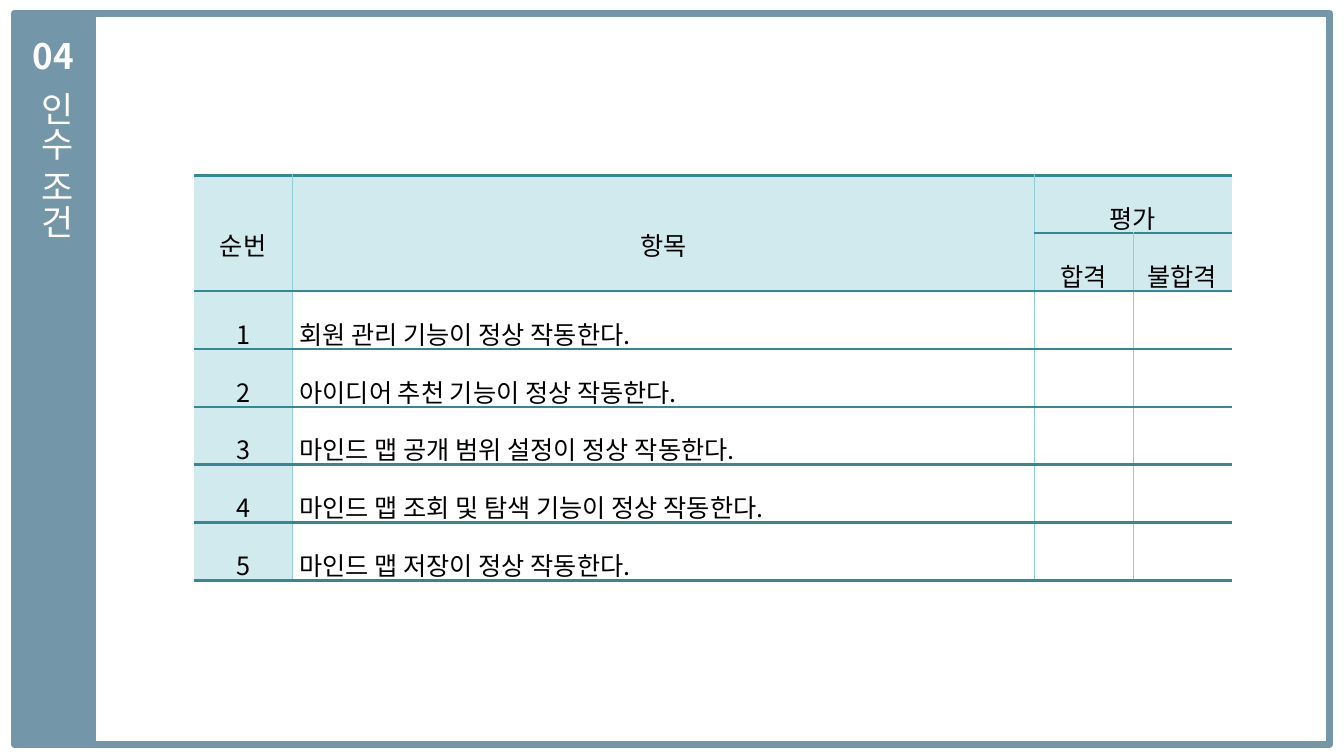
import pptx
import pptx.dml.color
import pptx.enum.shapes
import pptx.enum.text
import pptx.oxml
import pptx.oxml.ns
import pptx.util
from lxml import etree

Cm, Pt = pptx.util.Cm, pptx.util.Pt
RGBColor = pptx.dml.color.RGBColor
ALIGN = pptx.enum.text.PP_ALIGN

SLATE = RGBColor(0x73, 0x96, 0xA9)
TEAL = RGBColor(0x35, 0x87, 0x91)
AQUA = RGBColor(0x8F, 0xCE, 0xD5)
PALE = RGBColor(0xD0, 0xEA, 0xED)
WHITE = RGBColor(0xFF, 0xFF, 0xFF)
BLACK = RGBColor(0, 0, 0)
FONT = "Noto Sans CJK KR"

CRITERIA = [
    "회원 관리 기능이 정상 작동한다.",
    "아이디어 추천 기능이 정상 작동한다.",
    "마인드 맵 공개 범위 설정이 정상 작동한다.",
    "마인드 맵 조회 및 탐색 기능이 정상 작동한다.",
    "마인드 맵 저장이 정상 작동한다.",
]


def style_para(para, size, color, bold=False):
    font = para.font
    font.name, font.size, font.bold = FONT, Pt(size), bold
    font.color.rgb = color
    east_asian = etree.SubElement(font._element, pptx.oxml.ns.qn("a:ea"))
    east_asian.set("typeface", FONT)


def add_panel(page, left, top, width, height):
    panel = page.shapes.add_shape(
        pptx.enum.shapes.MSO_SHAPE.RECTANGLE, Cm(left), Cm(top), Cm(width), Cm(height))
    panel.shadow.inherit = False
    return panel


def add_label(page, text, left, top, width, height, bold=False, vertical=False):
    box = page.shapes.add_textbox(Cm(left), Cm(top), Cm(width), Cm(height))
    frame = box.text_frame
    frame.word_wrap = False
    frame.auto_size = pptx.enum.text.MSO_AUTO_SIZE.SHAPE_TO_FIT_TEXT
    if vertical:
        frame._txBody.bodyPr.set("vert", "eaVert")
    para = frame.paragraphs[0]
    para.text = text
    style_para(para, 25, WHITE, bold)


def add_frame(page, left, top, width, height):
    """Outlined page frame with the section title in a side bar."""
    outline = add_panel(page, left, top, width, height)
    outline.fill.background()
    outline.line.color.rgb = SLATE
    outline.line.width = Pt(5)
    bar = add_panel(page, left, top, 2.06, height)
    bar.fill.solid()
    bar.fill.fore_color.rgb = SLATE
    bar.line.fill.background()
    add_label(page, "04", left + 0.22, top + 0.41, 1.63, 1.32, bold=True)
    add_label(page, "인수 조건", left + 0.15, top + 1.73, 1.57, 4.42, vertical=True)


def set_border(cell, side, color, width):
    """Draw one cell edge, or clear it when the colour is None."""
    paint = "<a:noFill/>"
    if color is not None:
        paint = f'<a:solidFill><a:srgbClr val="{color}"/></a:solidFill>'
    edge = pptx.oxml.parse_xml(
        f'<a:ln{side} {pptx.oxml.ns.nsdecls("a")} w="{Pt(width)}">{paint}</a:ln{side}>')
    cell._tc.get_or_add_tcPr().append(edge)


def rule_cell(cell, row, column, row_count, column_count):
    """Thin column rules inside, bold row rules, heavier at the table's ends."""
    last_row, last_column = row, column
    if cell.is_merge_origin:
        last_row += cell.span_height - 1
        last_column += cell.span_width - 1
    set_border(cell, "L", AQUA if column > 0 else None, 0.28)
    set_border(cell, "R", AQUA if last_column < column_count - 1 else None, 0.28)
    set_border(cell, "T", TEAL, 2.55 if row == 0 else 1.98)
    set_border(cell, "B", TEAL, 2.55 if last_row == row_count - 1 else 1.98)


def fill_cell(cell, text, shaded, align):
    cell.margin_left = cell.margin_right = Cm(0.18)
    cell.margin_top = cell.margin_bottom = Cm(0.05)
    cell.vertical_anchor = pptx.enum.text.MSO_ANCHOR.MIDDLE
    if shaded:
        cell.fill.solid()
        cell.fill.fore_color.rgb = PALE
    else:
        cell.fill.background()
    if text:
        para = cell.text_frame.paragraphs[0]
        para.text = text
        para.alignment = align
        para.line_spacing = 1.6
        style_para(para, 18, BLACK)


def add_checklist(page, left, top, width, height):
    rows = [["순번", "항목", "평가", ""], ["", "", "합격", "불합격"]]
    rows += [[str(number), text, "", ""] for number, text in enumerate(CRITERIA, 1)]
    row_count, column_count = len(rows), len(rows[0])
    table = page.shapes.add_table(
        row_count, column_count, Cm(left), Cm(top), Cm(width), Cm(height)).table
    table.first_row = table.horz_banding = False
    narrow = 2.49
    for column, size in zip(table.columns, [narrow, width - 3 * narrow, narrow, narrow]):
        column.width = Cm(size)
    for row in table.rows:
        row.height = Cm(height / row_count)
    for column in (0, 1):
        table.cell(0, column).merge(table.cell(1, column))
    table.cell(0, 2).merge(table.cell(0, 3))
    for r, texts in enumerate(rows):
        for c, text in enumerate(texts):
            cell = table.cell(r, c)
            if cell.is_spanned:
                continue
            rule_cell(cell, r, c, row_count, column_count)
            is_criterion = r > 1 and c == 1
            fill_cell(cell, text, r < 2 or c == 0,
                      ALIGN.LEFT if is_criterion else ALIGN.CENTER)


def main():
    deck = pptx.Presentation()
    deck.slide_width, deck.slide_height = Cm(33.87), Cm(19.05)
    page = deck.slides.add_slide(deck.slide_layouts[6])
    add_frame(page, 0.36, 0.33, 33.15, 18.42)
    add_checklist(page, 4.88, 4.42, 26.16, 10.21)
    deck.save("out.pptx")


if __name__ == "__main__":
    main()
